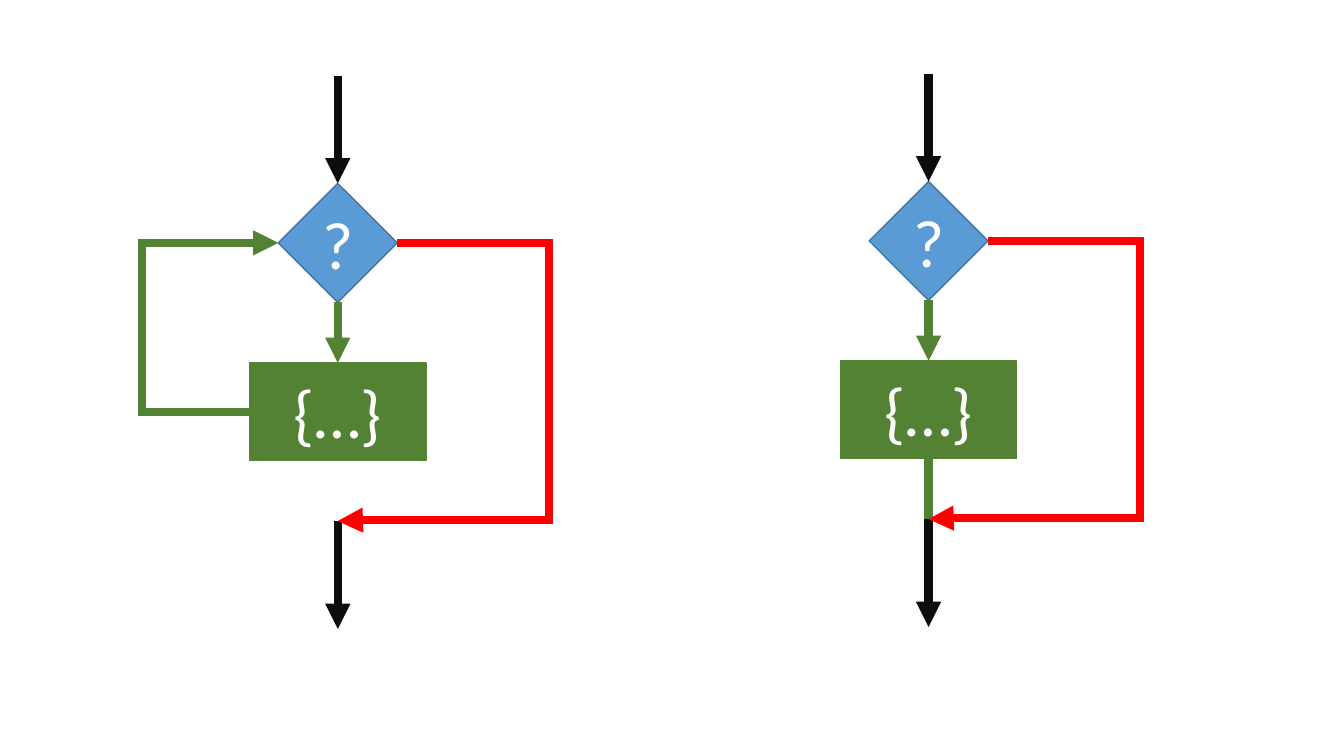
from lxml.etree import SubElement
from pptx import Presentation
from pptx.dml.color import RGBColor
from pptx.enum.shapes import MSO_CONNECTOR, MSO_SHAPE
from pptx.enum.text import MSO_ANCHOR, PP_ALIGN
from pptx.oxml.ns import qn
from pptx.util import Inches, Pt

BLUE = RGBColor(0x5B, 0x9B, 0xD5)
BLUE_EDGE = RGBColor(0x43, 0x73, 0x9E)
GREEN = RGBColor(0x54, 0x82, 0x35)
RED = RGBColor(0xFF, 0x00, 0x00)
BLACK = RGBColor(0x0D, 0x0D, 0x0D)
WHITE = RGBColor(0xFF, 0xFF, 0xFF)

DIAMOND_SIZE = 1.18
BLOCK_WIDTH, BLOCK_HEIGHT = 1.75, 0.97
ENTRY_LENGTH = 1.07
GAP = 0.6


def add_node(slide, kind, box, fill, edge, label):
    shape = slide.shapes.add_shape(kind, *(Inches(length) for length in box))
    shape.shadow.inherit = False
    shape.fill.solid()
    shape.fill.fore_color.rgb = fill
    shape.line.color.rgb = edge
    shape.line.width = Pt(1)
    frame = shape.text_frame
    frame.word_wrap = True
    frame.vertical_anchor = MSO_ANCHOR.MIDDLE
    paragraph = frame.paragraphs[0]
    paragraph.alignment = PP_ALIGN.CENTER
    run = paragraph.add_run()
    run.text = label
    run.font.name = "Calibri"
    run.font.size = Pt(48)
    run.font.color.rgb = WHITE


def add_flow(slide, start, end, color, arrow=True, preset="line", bends=()):
    """Draw a thick line; bends are the bent preset's adjustments as fractions."""
    kind = MSO_CONNECTOR.ELBOW if bends else MSO_CONNECTOR.STRAIGHT
    connector = slide.shapes.add_connector(
        kind, *(Inches(length) for length in (*start, *end)))
    connector.line.color.rgb = color
    connector.line.width = Pt(6)
    properties = connector._element.spPr
    geometry = properties.find(qn("a:prstGeom"))
    geometry.set("prst", preset)
    for number, bend in enumerate(bends, 1):
        guide = SubElement(geometry.get_or_add_avLst(), qn("a:gd"))
        guide.set("name", f"adj{number}")
        guide.set("fmla", f"val {round(bend * 100000)}")
    line = properties.find(qn("a:ln"))
    SubElement(line, qn("a:miter")).set("lim", "800000")
    if arrow:
        SubElement(line, qn("a:tailEnd")).set("type", "triangle")
    SubElement(properties, qn("a:effectLst"))


def add_flowchart(slide, center, top, loops):
    """Draw a condition and its block; the block loops back or falls through."""
    diamond_top = top + ENTRY_LENGTH
    diamond_middle = diamond_top + DIAMOND_SIZE / 2
    diamond_bottom = diamond_top + DIAMOND_SIZE
    diamond_left = center - DIAMOND_SIZE / 2
    diamond_right = center + DIAMOND_SIZE / 2
    block_top = diamond_bottom + GAP
    block_left = center - BLOCK_WIDTH / 2
    block_bottom = block_top + BLOCK_HEIGHT
    merge = block_bottom + GAP

    add_node(slide, MSO_SHAPE.DIAMOND,
             (diamond_left, diamond_top, DIAMOND_SIZE, DIAMOND_SIZE),
             BLUE, BLUE_EDGE, "?")
    add_flow(slide, (center, top), (center, diamond_top), BLACK)
    add_flow(slide, (center, diamond_bottom), (center, block_top), GREEN)
    add_node(slide, MSO_SHAPE.RECTANGLE,
             (block_left, block_top, BLOCK_WIDTH, BLOCK_HEIGHT),
             GREEN, GREEN, "{…}")
    if not loops:
        add_flow(slide, (center, block_bottom), (center, merge), GREEN, arrow=False)
    add_flow(slide, (center, merge), (center, merge + ENTRY_LENGTH), BLACK)
    add_flow(slide, (diamond_right, diamond_middle), (center, merge), RED,
             preset="bentConnector4", bends=(-2.55, 0.997))
    if loops:
        add_flow(slide, (block_left, block_top + BLOCK_HEIGHT / 2),
                 (diamond_left, diamond_middle), GREEN,
                 preset="bentConnector3", bends=(-3.74,))


def main():
    presentation = Presentation()
    presentation.slide_width = Inches(13.33)
    presentation.slide_height = Inches(7.5)
    slide = presentation.slides.add_slide(presentation.slide_layouts[6])
    add_flowchart(slide, 3.35, 0.75, loops=True)
    add_flowchart(slide, 9.21, 0.73, loops=False)
    presentation.save("out.pptx")


if __name__ == "__main__":
    main()
